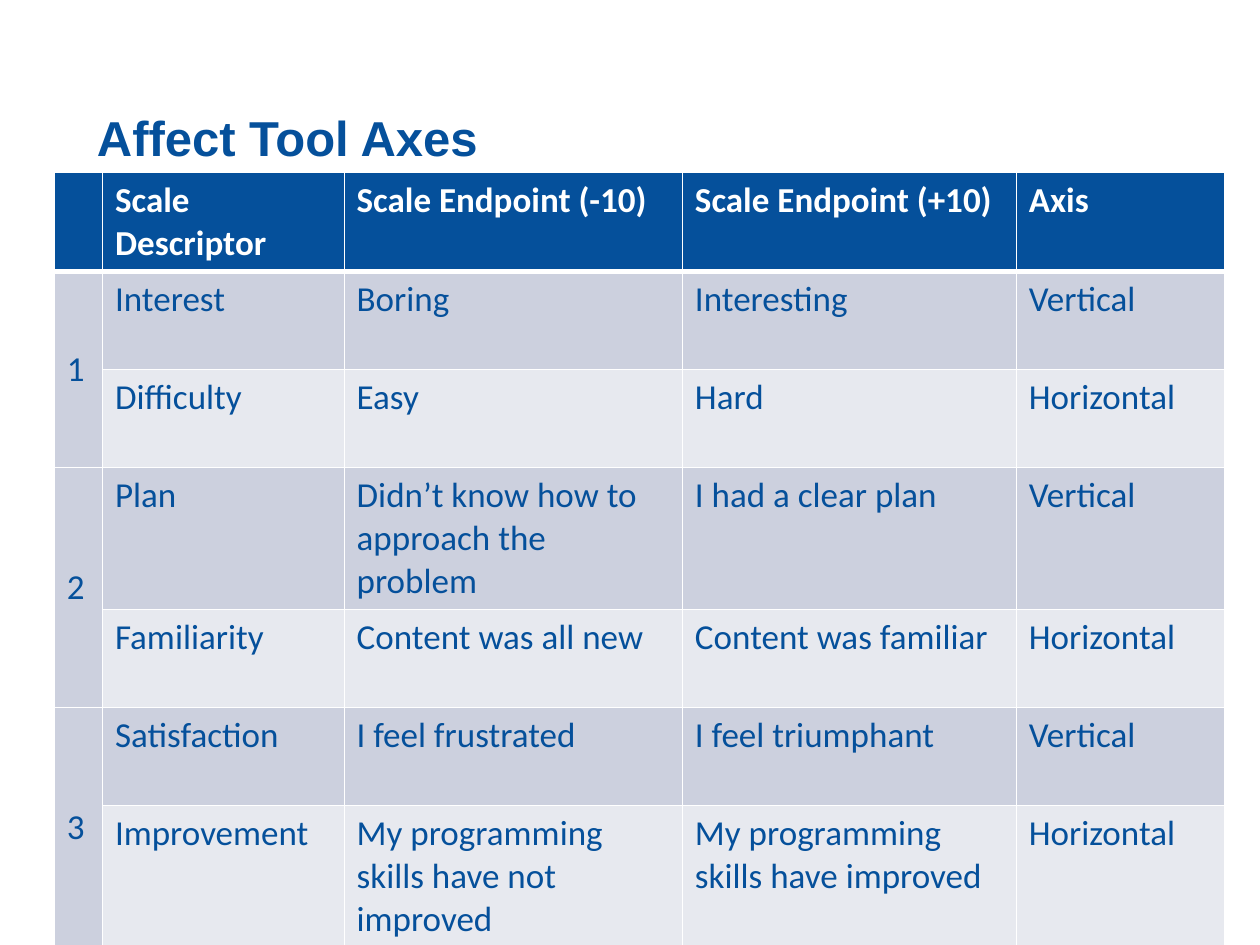
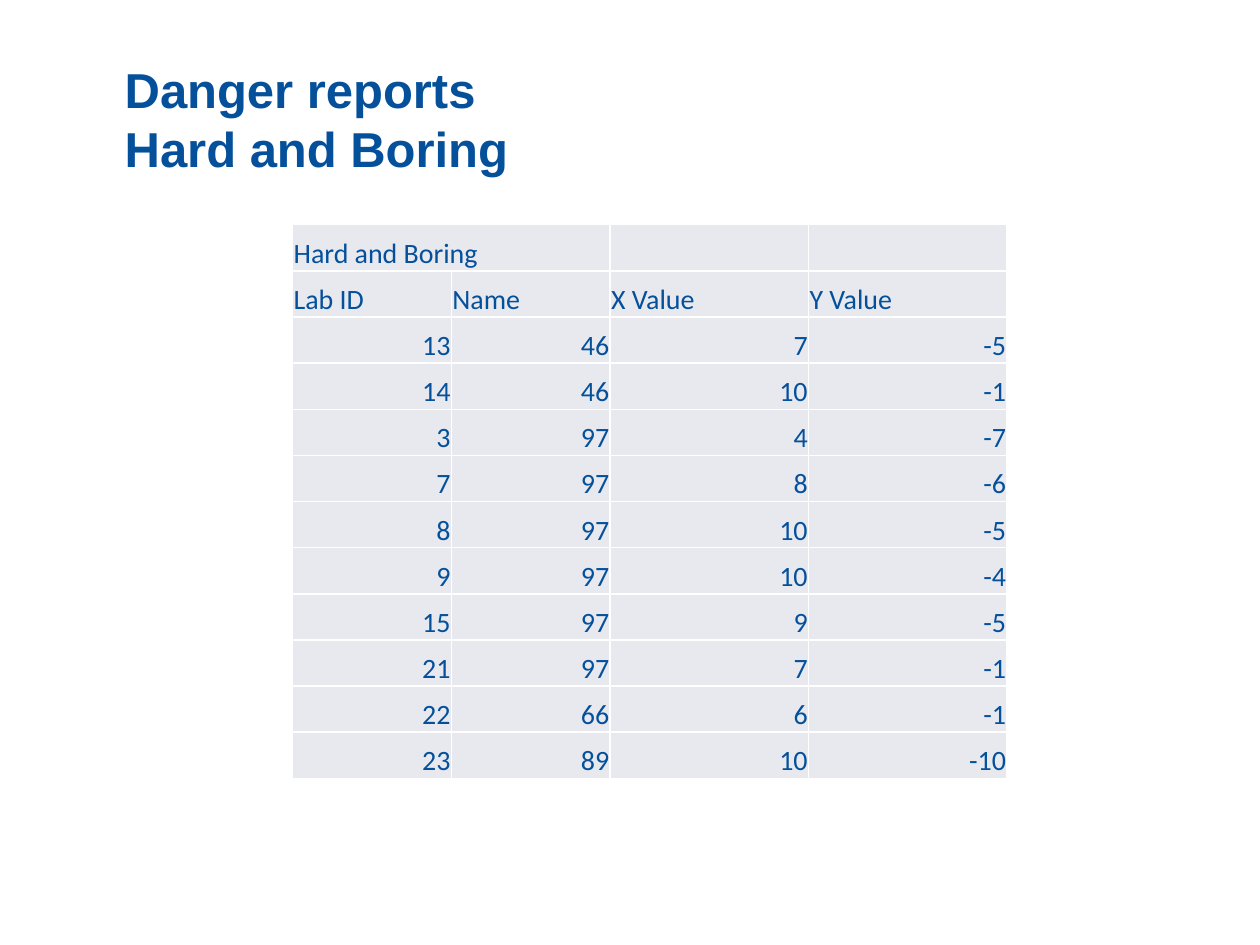
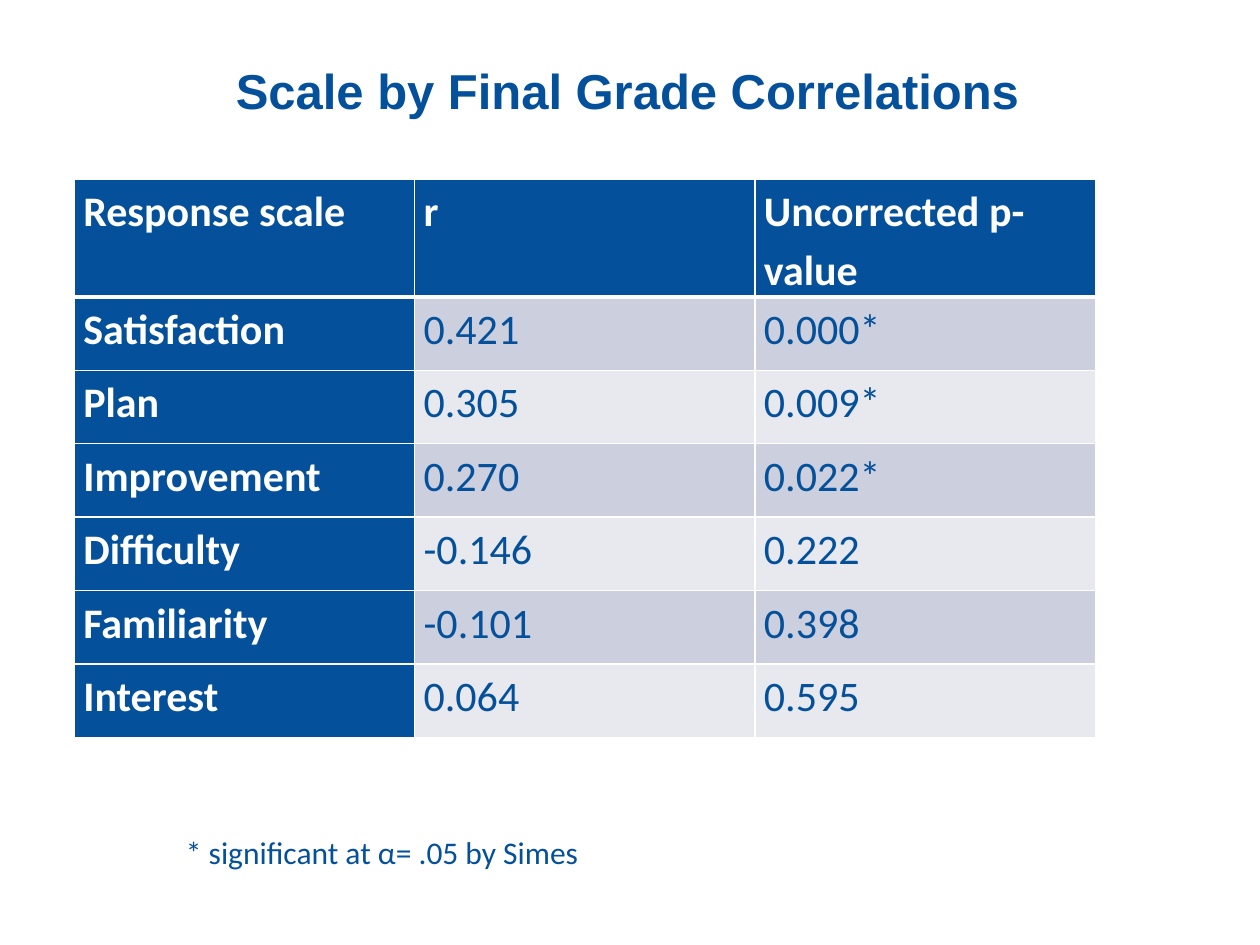
"""Build three slides of tables about the affect tool and its results."""
from dataclasses import dataclass

from lxml.etree import SubElement
from pptx import Presentation
from pptx.dml.color import RGBColor
from pptx.enum.text import MSO_ANCHOR as Anchor, MSO_AUTO_SIZE as AutoSize, PP_ALIGN as Align
from pptx.oxml.ns import qn
from pptx.util import Cm, Pt

BLUE = RGBColor(0x05, 0x50, 0x9B)
WHITE = RGBColor(0xFF, 0xFF, 0xFF)
BAND_DARK = RGBColor(0xCC, 0xD0, 0xDE)
BAND_LIGHT = RGBColor(0xE7, 0xE9, 0xEF)

TITLE_FONT = "Arial"
BODY_FONT = "Calibri"
TITLE_ONLY = 5
THIN, THICK = Pt(1), Pt(3)

AXES = [
    ["", "Scale Descriptor", "Scale Endpoint (-10)", "Scale Endpoint (+10)", "Axis"],
    ["1", "Interest", "Boring", "Interesting", "Vertical"],
    ["", "Difficulty", "Easy", "Hard", "Horizontal"],
    ["2", "Plan", "Didn’t know how to approach the problem", "I had a clear plan", "Vertical"],
    ["", "Familiarity", "Content was all new", "Content was familiar", "Horizontal"],
    ["3", "Satisfaction", "I feel frustrated", "I feel triumphant", "Vertical"],
    ["", "Improvement", "My programming skills have not improved",
     "My programming skills have improved", "Horizontal"],
]

DANGER_REPORTS = [
    ["Hard and Boring", "", "", ""],
    ["Lab ID", "Name", "X Value", "Y Value"],
    [13, 46, 7, -5],
    [14, 46, 10, -1],
    [3, 97, 4, -7],
    [7, 97, 8, -6],
    [8, 97, 10, -5],
    [9, 97, 10, -4],
    [15, 97, 9, -5],
    [21, 97, 7, -1],
    [22, 66, 6, -1],
    [23, 89, 10, -10],
]

CORRELATIONS = [
    ["Response scale", "r", "Uncorrected p-value"],
    ["Satisfaction", "0.421", "0.000*"],
    ["Plan", "0.305", "0.009*"],
    ["Improvement", "0.270", "0.022*"],
    ["Difficulty", "-0.146", "0.222"],
    ["Familiarity", "-0.101", "0.398"],
    ["Interest", "0.064", "0.595"],
]


@dataclass
class TableStyle:
    """Hold the look of one table; margins are left, top, right, bottom."""
    size: int
    row_height: float
    margins: tuple = (0.25, 0.13, 0.25, 0.13)
    anchor: Anchor = Anchor.TOP
    line_spacing: float = 1.0
    header_row: bool = True
    header_column: bool = False
    banded: bool = True


def format_runs(text_frame, font_name, size, color, bold=False):
    """Give every run of a text frame the same font."""
    for paragraph in text_frame.paragraphs:
        for run in paragraph.runs:
            run.font.name = font_name
            run.font.size = Pt(size)
            run.font.bold = bold
            run.font.color.rgb = color


def add_titled_slide(presentation, title, left, top, width, bottom_margin=0.13):
    """Add a white slide with a left-aligned title resting on its box's bottom."""
    slide = presentation.slides.add_slide(presentation.slide_layouts[TITLE_ONLY])
    slide.background.fill.solid()
    slide.background.fill.fore_color.rgb = WHITE
    shape = slide.shapes.title
    shape.left, shape.top, shape.width, shape.height = Cm(left), Cm(top), Cm(width), Cm(3.15)
    text_frame = shape.text_frame
    text_frame.text = title
    text_frame.auto_size = AutoSize.NONE
    text_frame.vertical_anchor = Anchor.BOTTOM
    text_frame.margin_bottom = Cm(bottom_margin)
    text_frame.paragraphs[0].alignment = Align.LEFT
    format_runs(text_frame, TITLE_FONT, 28, BLUE, bold=True)
    return slide


def set_borders(cell, top, bottom):
    """Draw white borders round a cell."""
    properties = cell._tc.get_or_add_tcPr()
    for side, width in (("L", THIN), ("R", THIN), ("T", top), ("B", bottom)):
        line = SubElement(properties, qn(f"a:ln{side}"), w=str(width))
        fill = SubElement(line, qn("a:solidFill"))
        SubElement(fill, qn("a:srgbClr"), val=str(WHITE))


def format_cell(cell, value, row, column, style):
    """Fill one cell with its value, borders, colours and font."""
    is_header = (style.header_row and row == 0) or (style.header_column and column == 0)
    set_borders(cell,
                top=THICK if style.header_row and row == 1 else THIN,
                bottom=THICK if style.header_row and row == 0 else THIN)
    cell.fill.solid()
    band = BAND_DARK if style.banded and row % 2 else BAND_LIGHT
    cell.fill.fore_color.rgb = BLUE if is_header else band
    cell.margin_left, cell.margin_top, cell.margin_right, cell.margin_bottom = map(Cm, style.margins)
    cell.vertical_anchor = style.anchor
    cell.text_frame.text = str(value)
    paragraph = cell.text_frame.paragraphs[0]
    paragraph.line_spacing = style.line_spacing
    paragraph.alignment = Align.RIGHT if isinstance(value, int) else Align.LEFT
    format_runs(cell.text_frame, BODY_FONT, style.size, WHITE if is_header else BLUE, is_header)


def add_styled_table(slide, rows, left, top, column_widths, style):
    """Add a table of the given rows and return it."""
    frame = slide.shapes.add_table(len(rows), len(column_widths), Cm(left), Cm(top),
                                   Cm(sum(column_widths)), Cm(style.row_height * len(rows)))
    table = frame.table
    table.first_row = style.header_row
    table.first_col = style.header_column
    table.horz_banding = style.banded
    for column, width in zip(table.columns, column_widths):
        column.width = Cm(width)
    for row, values in enumerate(rows):
        table.rows[row].height = Cm(style.row_height)
        for column, value in enumerate(values):
            format_cell(table.cell(row, column), value, row, column, style)
    return table


def add_note(slide, text, left, top, width, height):
    """Add a line of body text at the bottom of a text box."""
    text_frame = slide.shapes.add_textbox(Cm(left), Cm(top), Cm(width), Cm(height)).text_frame
    text_frame.word_wrap = True
    text_frame.vertical_anchor = Anchor.BOTTOM
    text_frame.margin_left = Cm(0.45)
    text_frame.text = text
    format_runs(text_frame, BODY_FONT, 18, BLUE)


def add_axes_slide(presentation):
    """Add the slide that lists the axes in numbered pairs."""
    slide = add_titled_slide(presentation, "Affect Tool Axes", 1.7, 0.33, 18.95)
    table = add_styled_table(slide, AXES, 1.1, 3.48, [0.97, 4.87, 6.82, 6.73, 4.19],
                             TableStyle(size=20, row_height=1.98))
    for row in range(1, len(AXES), 2):
        pair_number = table.cell(row, 0)
        pair_number.merge(table.cell(row + 1, 0))
        pair_number.vertical_anchor = Anchor.MIDDLE


def add_danger_slide(presentation):
    """Add the slide that lists the hard and boring labs."""
    slide = add_titled_slide(presentation, "Danger reports\vHard and Boring", 2.26, 0.56, 15.5)
    style = TableStyle(size=16, row_height=0.93, margins=(0.02, 0.02, 0.02, 0),
                       anchor=Anchor.BOTTOM, header_row=False, banded=False)
    table = add_styled_table(slide, DANGER_REPORTS, 5.9, 4.53, [3.2, 3.2, 4, 4], style)
    table.cell(0, 0).merge(table.cell(0, 1))


def add_correlations_slide(presentation):
    """Add the slide that relates each scale to the final grade."""
    slide = add_titled_slide(presentation, "Scale by Final Grade Correlations",
                             4.5, 0.53, 16.6, bottom_margin=1.27)
    style = TableStyle(size=24, row_height=1.48, margins=(0.18, 0, 0.18, 0),
                       line_spacing=1.15, header_column=True)
    add_styled_table(slide, CORRELATIONS, 1.5, 3.61, [6.86] * 3, style)
    add_note(slide, "* significant at α= .05 by Simes", 3.3, 15.88, 9.47, 1.8)


def main():
    """Build and save the presentation."""
    presentation = Presentation()
    presentation.slide_width, presentation.slide_height = Cm(25.4), Cm(19.05)
    add_axes_slide(presentation)
    add_danger_slide(presentation)
    add_correlations_slide(presentation)
    presentation.save("out.pptx")


if __name__ == "__main__":
    main()
